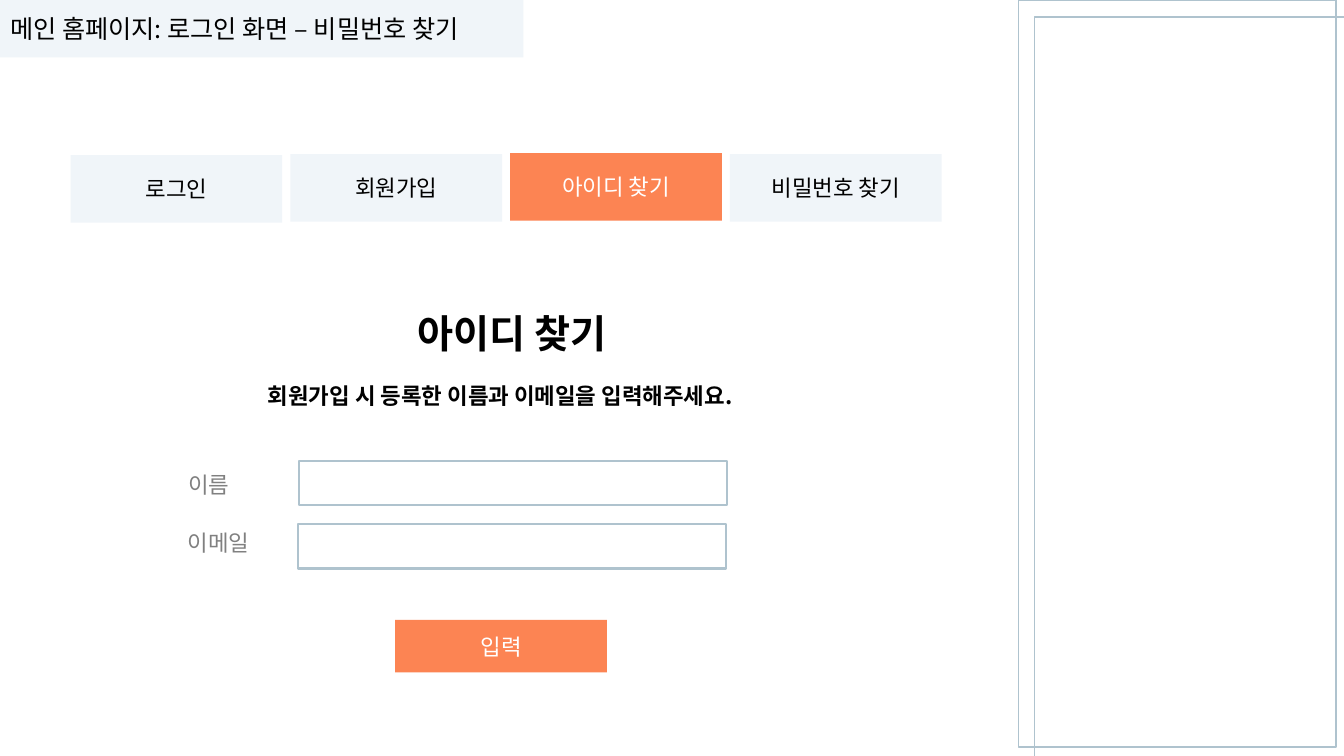
import dataclasses

import lxml.etree
import pptx
import pptx.dml.color
import pptx.enum.shapes
import pptx.enum.text
import pptx.oxml.ns
import pptx.util

Inches = pptx.util.Inches
Align = pptx.enum.text.PP_ALIGN


@dataclasses.dataclass(frozen=True)
class Theme:
    font: str = "Noto Sans CJK KR"
    pale: str = "F0F5F9"
    accent: str = "FC8453"
    outline: str = "AFC3CE"
    black: str = "000000"
    grey: str = "808080"
    white: str = "FFFFFF"
    heading_size: int = 28
    title_size: int = 18
    body_size: int = 16


theme = Theme()


def write(target, words, color, size=theme.body_size, bold=False, align=Align.CENTER):
    frame = target.text_frame
    frame.word_wrap = True
    frame.auto_size = pptx.enum.text.MSO_AUTO_SIZE.NONE
    frame.vertical_anchor = pptx.enum.text.MSO_ANCHOR.MIDDLE
    frame.paragraphs[0].alignment = align
    run = frame.paragraphs[0].add_run()
    run.text = words
    run.font.name = theme.font
    run.font.size = pptx.util.Pt(size)
    run.font.bold = bold
    run.font.color.rgb = pptx.dml.color.RGBColor.from_string(color)
    east_asian = lxml.etree.SubElement(run.font._element, pptx.oxml.ns.qn("a:ea"))
    east_asian.set("typeface", theme.font)


def add_box(shapes, place, fill=None, line_width=None):
    box = shapes.add_shape(
        pptx.enum.shapes.MSO_SHAPE.RECTANGLE, *[Inches(length) for length in place]
    )
    box.shadow.inherit = False
    if fill:
        box.fill.solid()
        box.fill.fore_color.rgb = pptx.dml.color.RGBColor.from_string(fill)
    else:
        box.fill.background()
    if line_width:
        box.line.width = pptx.util.Pt(line_width)
        box.line.color.rgb = pptx.dml.color.RGBColor.from_string(theme.outline)
    else:
        box.line.fill.background()
    return box


deck = pptx.Presentation()
deck.slide_width = Inches(13.33)
deck.slide_height = Inches(7.5)
slide = deck.slides.add_slide(deck.slide_layouts[5])

page_title = slide.shapes.title
page_title.left, page_title.top = Inches(0), Inches(0)
page_title.width, page_title.height = Inches(5.19), Inches(0.57)
page_title.fill.solid()
page_title.fill.fore_color.rgb = pptx.dml.color.RGBColor.from_string(theme.pale)
write(
    page_title,
    "메인 홈페이지: 로그인 화면 – 비밀번호 찾기",
    theme.black,
    theme.title_size,
    align=Align.LEFT,
)

for left, top in [(10.1, 0), (10.26, 0.17)]:
    add_box(slide.shapes, (left, top, 3.15, 7.41), line_width=1)

for left, top in [(2.97, 4.57), (2.96, 5.2)]:
    add_box(slide.shapes, (left, top, 4.24, 0.44), line_width=1.5)

captions = [
    ("아이디 찾기", 3.83, 3.06, 2.5, theme.black, theme.heading_size, True),
    ("회원가입 시 등록한 이름과 이메일을 입력해주세요.", 1.77, 3.68, 6.38, theme.black, theme.body_size, True),
    ("이름", 1.66, 4.57, 0.82, theme.grey, theme.body_size, False),
    ("이메일", 1.54, 5.14, 1.26, theme.grey, theme.body_size, False),
]
for words, left, top, width, color, size, bold in captions:
    caption = slide.shapes.add_textbox(
        Inches(left), Inches(top), Inches(width), Inches(0.48)
    )
    write(caption, words, color, size, bold)

submit = add_box(slide.shapes, (3.92, 6.15, 2.1, 0.52), theme.accent)
write(submit, "입력", theme.white)

menu = slide.shapes.add_group_shape()
tabs = [
    ("로그인", 1.54, theme.pale, theme.black),
    ("회원가입", 1.53, theme.pale, theme.black),
    ("아이디 찾기", 1.52, theme.accent, theme.white),
    ("비밀번호 찾기", 1.53, theme.pale, theme.black),
]
for index, (words, top, fill, color) in enumerate(tabs):
    tab = add_box(menu.shapes, (0.7 + index * 2.18, top, 2.1, 0.67), fill)
    write(tab, words, color)

deck.save("out.pptx")
